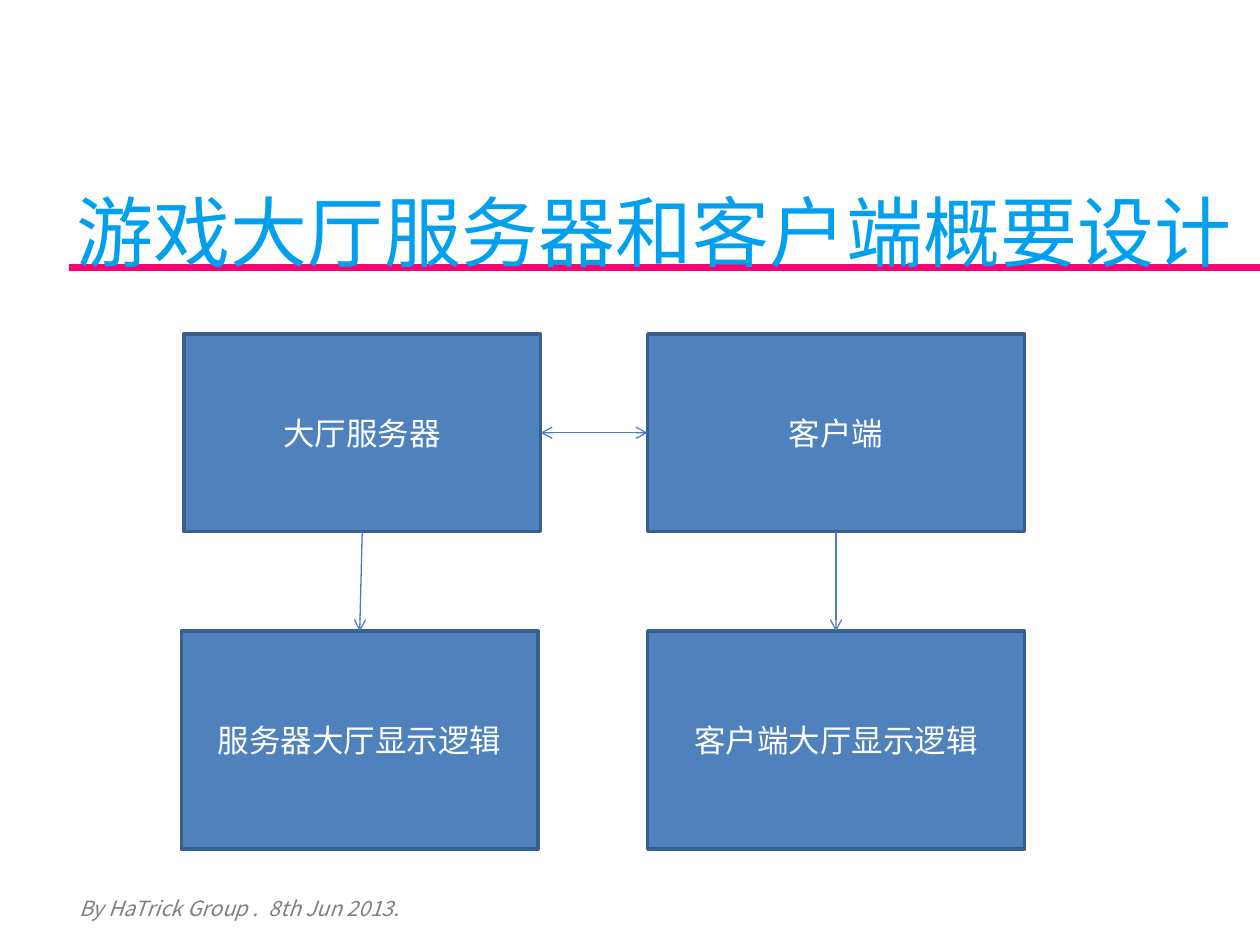
from pptx import Presentation
from pptx.dml.color import RGBColor
from pptx.enum.shapes import MSO_CONNECTOR, MSO_SHAPE
from pptx.enum.text import MSO_ANCHOR, MSO_AUTO_SIZE, PP_ALIGN
from pptx.oxml.ns import qn
from pptx.util import Inches, Pt
from lxml.etree import SubElement

TITLE_BLUE = RGBColor(0x00, 0xA0, 0xEF)
PINK = RGBColor(0xFD, 0x00, 0x73)
GREY = RGBColor(0x80, 0x80, 0x80)
BOX_FILL = RGBColor(0x4F, 0x81, 0xBD)
BOX_LINE = RGBColor(0x3A, 0x5F, 0x8C)
ARROW_BLUE = RGBColor(0x4B, 0x7E, 0xBC)
WHITE = RGBColor(0xFF, 0xFF, 0xFF)


def add_run(paragraph, text, font_name, size, color):
    run = paragraph.add_run()
    run.text = text
    run.font.name = font_name
    run.font.size = Pt(size)
    run.font.color.rgb = color
    return run


def add_line(slide, start, end, color, width):
    connector = slide.shapes.add_connector(
        MSO_CONNECTOR.STRAIGHT, *(Inches(value) for value in start + end))
    connector.line.color.rgb = color
    connector.line.width = Pt(width)
    SubElement(connector.element.spPr, qn("a:effectLst"))
    return connector


presentation = Presentation()
presentation.slide_width = Inches(10)
presentation.slide_height = Inches(7.5)
slide = presentation.slides.add_slide(presentation.slide_layouts[5])

title = slide.shapes.title
title.left, title.top = Inches(0.61), Inches(1)
title.width, title.height = Inches(9.26), Inches(1.1)
frame = title.text_frame
frame.margin_left = frame.margin_top = frame.margin_right = 0
frame.margin_bottom = Inches(0.05)
frame.vertical_anchor = MSO_ANCHOR.TOP
frame.auto_size = MSO_AUTO_SIZE.NONE
frame.word_wrap = False
paragraph = frame.paragraphs[0]
paragraph.alignment = PP_ALIGN.LEFT
paragraph.line_spacing = Pt(86)
add_run(paragraph, "游戏大厅服务器和客户端概要设计", "Cambria", 44, TITLE_BLUE)

underline = add_line(slide, (0.55, 2.12), (10.05, 2.12), PINK, 4)
title.element.addprevious(underline.element)

byline = slide.shapes.add_textbox(Inches(0.53), Inches(7.06), Inches(2.83), Inches(0.3))
byline.text_frame.word_wrap = True
paragraph = byline.text_frame.paragraphs[0]
for text, spacing in (("By HaTrick Group ", 0), (".", 300), (" 8th Jun 2013.", 0)):
    run = add_run(paragraph, text, "Noto Sans CJK SC", 12, GREY)
    run.font.italic = True
    run.font._element.set("spc", str(spacing))

boxes = {}
for label, left, top, width, height in (
    ("大厅服务器", 1.46, 2.65, 2.83, 1.57),
    ("客户端", 5.14, 2.65, 2.99, 1.57),
    ("服务器大厅显示逻辑", 1.44, 5.01, 2.83, 1.73),
    ("客户端大厅显示逻辑", 5.14, 5.01, 2.99, 1.73),
):
    shape = slide.shapes.add_shape(
        MSO_SHAPE.RECTANGLE, Inches(left), Inches(top), Inches(width), Inches(height))
    shape.shadow.inherit = False
    shape.fill.solid()
    shape.fill.fore_color.rgb = BOX_FILL
    shape.line.color.rgb = BOX_LINE
    shape.line.width = Pt(2)
    shape.text_frame.vertical_anchor = MSO_ANCHOR.MIDDLE
    paragraph = shape.text_frame.paragraphs[0]
    paragraph.alignment = PP_ALIGN.CENTER
    add_run(paragraph, label, "Calibri", 18, WHITE)
    boxes[label] = shape

for source, source_side, target, target_side, ends in (
    ("大厅服务器", 3, "客户端", 1, ("headEnd", "tailEnd")),
    ("大厅服务器", 2, "服务器大厅显示逻辑", 0, ("tailEnd",)),
    ("客户端", 2, "客户端大厅显示逻辑", 0, ("tailEnd",)),
):
    arrow = add_line(slide, (0, 0), (1, 1), ARROW_BLUE, 0.75)
    arrow.begin_connect(boxes[source], source_side)
    arrow.end_connect(boxes[target], target_side)
    for end in ends:
        SubElement(arrow.line._ln, qn(f"a:{end}"), type="arrow")

presentation.save("out.pptx")
